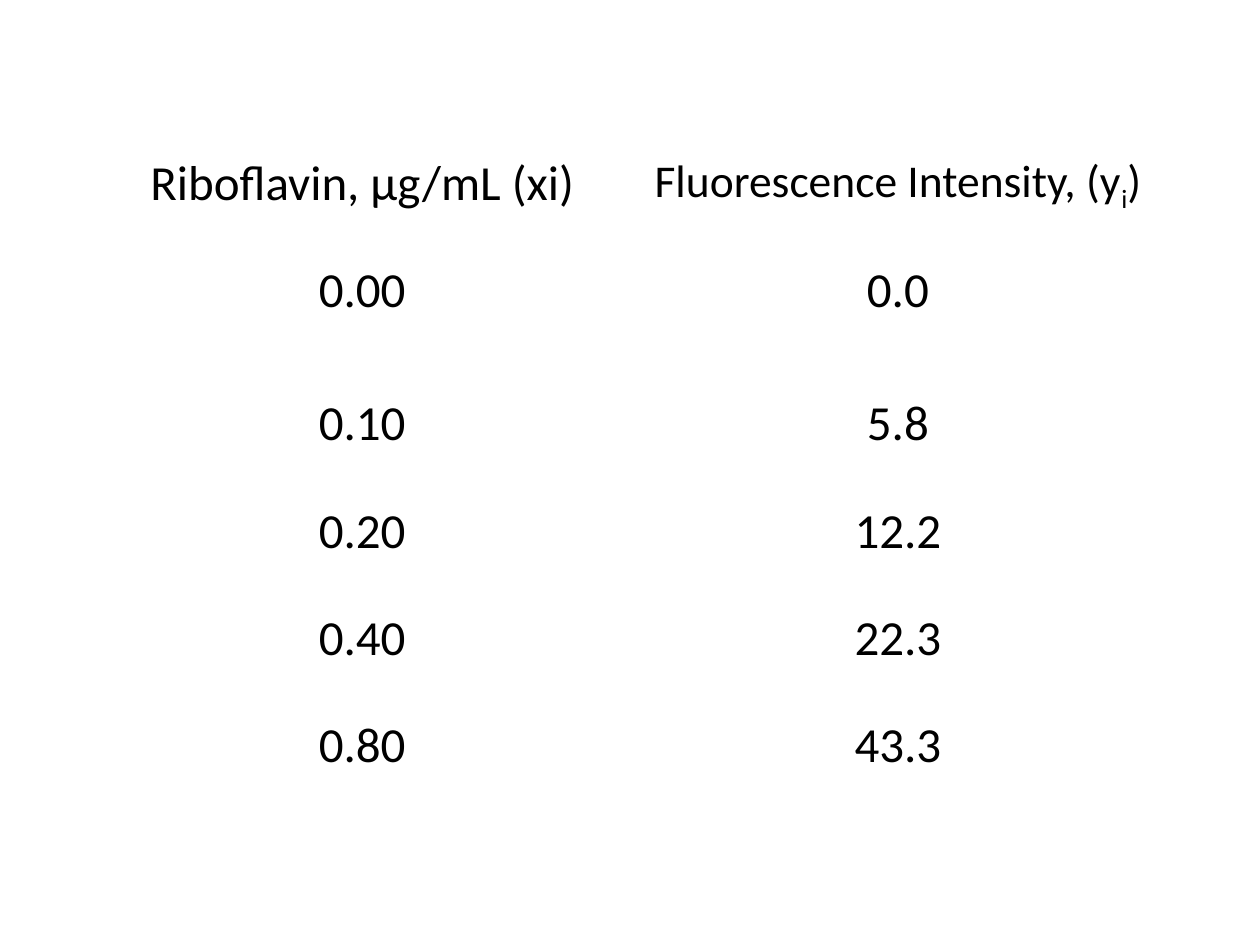
"""Build a slide with a calibration table of riboflavin fluorescence."""
from pptx import Presentation
from pptx.dml.color import RGBColor
from pptx.enum.text import MSO_ANCHOR, PP_ALIGN
from pptx.util import Cm, Pt

CENTER = PP_ALIGN.CENTER
TOP = MSO_ANCHOR.TOP
COLORS = {"text": "000000"}
BLANK_LAYOUT = 6
ROW_HEIGHT, ZERO_ROW_HEIGHT = 2.16, 2.69
COLUMN_WIDTH = 10.8
BODY_FORMAT = {"name": "Calibri", "size": Pt(28), "bold": False}
INTENSITY_FORMAT = {**BODY_FORMAT, "size": Pt(26)}
CONCENTRATION_HEADING = [("Riboflavin, µg/mL (xi)", 0)]
INTENSITY_HEADING = [("Fluorescence Intensity, (y", 0), ("i", -25), (")", 0)]
MEASUREMENTS = [
    ("0.00", "0.0"),
    ("0.10", "5.8"),
    ("0.20", "12.2"),
    ("0.40", "22.3"),
    ("0.80", "43.3"),
]


def write_cell(cell, pieces, text_format):
    """Fill a cell with centred text given as (text, baseline percent) pieces."""
    cell.fill.background()
    cell.vertical_anchor = TOP
    line = cell.text_frame.paragraphs[0]
    line.alignment = CENTER
    for text, baseline in pieces:
        run = line.add_run()
        run.text = text
        for attribute, value in text_format.items():
            setattr(run.font, attribute, value)
        run.font.color.rgb = RGBColor.from_string(COLORS["text"])
        if baseline:
            run._r.get_or_add_rPr().set("baseline", str(baseline * 1000))


def add_calibration_table(slide):
    """Add the table of concentrations and measured intensities."""
    heights = [ROW_HEIGHT, ZERO_ROW_HEIGHT] + [ROW_HEIGHT] * (len(MEASUREMENTS) - 1)
    calibration = slide.shapes.add_table(
        len(heights), 2, Cm(1.9), Cm(2.97), Cm(2 * COLUMN_WIDTH), Cm(sum(heights))
    ).table
    calibration.first_row = False
    calibration.horz_banding = False
    for row, height in zip(calibration.rows, heights):
        row.height = Cm(height)
    write_cell(calibration.cell(0, 0), CONCENTRATION_HEADING, BODY_FORMAT)
    write_cell(calibration.cell(0, 1), INTENSITY_HEADING, INTENSITY_FORMAT)
    for row_index, measurement in enumerate(MEASUREMENTS, start=1):
        for column_index, value in enumerate(measurement):
            cell = calibration.cell(row_index, column_index)
            write_cell(cell, [(value, 0)], BODY_FORMAT)


def main():
    """Create and save the presentation."""
    presentation = Presentation()
    presentation.slide_width = Cm(25.4)
    presentation.slide_height = Cm(19.05)
    slide = presentation.slides.add_slide(presentation.slide_layouts[BLANK_LAYOUT])
    add_calibration_table(slide)
    presentation.save("out.pptx")


if __name__ == "__main__":
    main()
